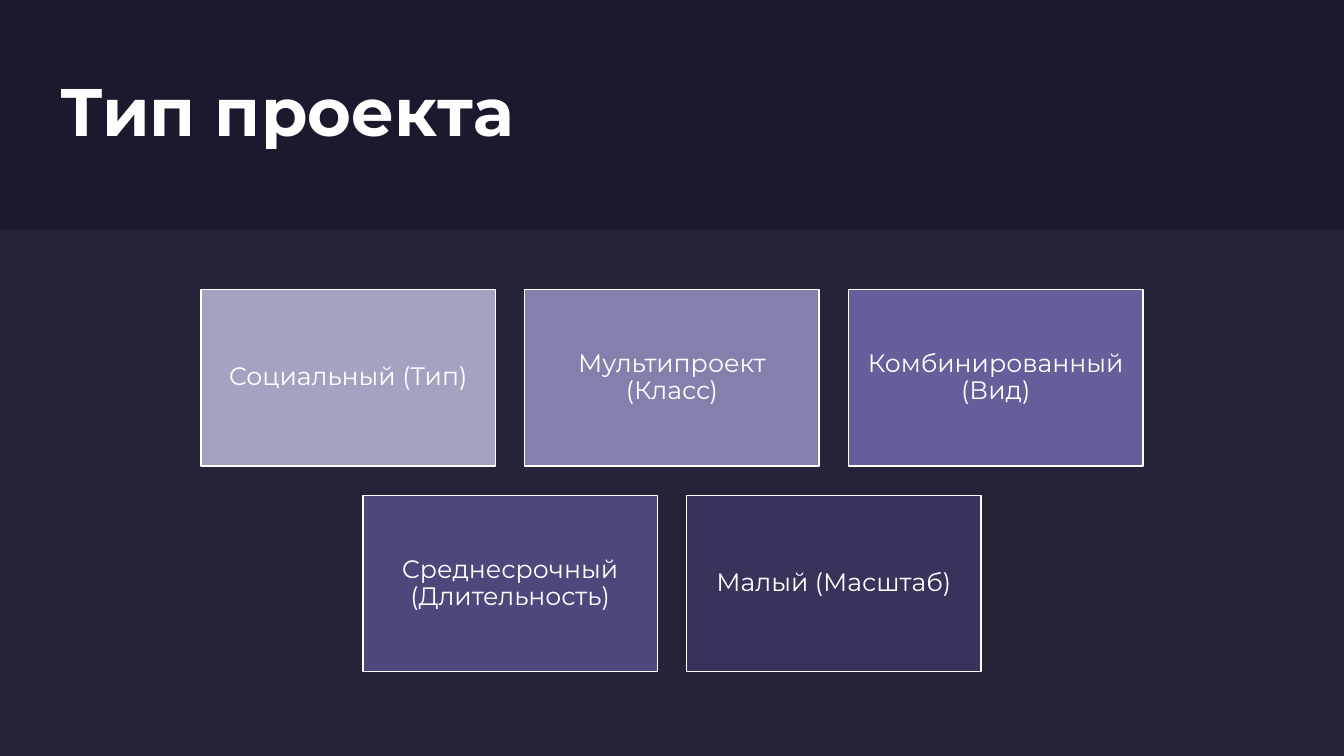
from dataclasses import dataclass

from lxml.etree import SubElement
from pptx import Presentation
from pptx.dml.color import RGBColor
from pptx.dml.fill import FillFormat
from pptx.enum.shapes import MSO_SHAPE
from pptx.enum.text import MSO_ANCHOR, PP_ALIGN
from pptx.oxml.ns import qn
from pptx.shapes.autoshape import Shape
from pptx.slide import Slide
from pptx.text.text import TextFrame
from pptx.util import Cm, Pt

WIDTH, HEIGHT = 33.87, 19.05
CARD_W, CARD_H, GAP = 7.42, 4.45, 0.74
CARD_TOP = 7.29
BAND_TOP = 5.79
DARK, PALE, WHITE = "1B192E", "E4E3F0", "FFFFFF"
FONT = "Montserrat"


@dataclass(frozen=True)
class Card:
    text: str
    color: str


ROWS: list[list[Card]] = [
    [
        Card("Социальный (Тип)", "A3A3C1"),
        Card("Мультипроект (Класс)", "8281AE"),
        Card("Комбинированный (Вид)", "625F9A"),
    ],
    [
        Card("Среднесрочный (Длительность)", "4C487B"),
        Card("Малый (Масштаб)", "37335B"),
    ],
]


def paint(fill: FillFormat, color: str) -> None:
    fill.solid()
    fill.fore_color.rgb = RGBColor.from_string(color)


def add_rect(slide: Slide, left: float, top: float, width: float,
             height: float, color: str) -> Shape:
    rect = slide.shapes.add_shape(
        MSO_SHAPE.RECTANGLE, Cm(left), Cm(top), Cm(width), Cm(height))
    rect.shadow.inherit = False
    paint(rect.fill, color)
    rect.line.fill.background()
    return rect


def fade(shape: Shape, percent: int) -> None:
    color = shape.fill._xPr.find(qn("a:solidFill"))[0]
    SubElement(color, qn("a:alpha")).set("val", str(percent * 1000))


def write(frame: TextFrame, text: str, size: int, inset: float,
          align: PP_ALIGN, bold: bool = False) -> None:
    frame.word_wrap = True
    frame.vertical_anchor = MSO_ANCHOR.MIDDLE
    frame.margin_left = frame.margin_right = Cm(inset)
    frame.margin_top = frame.margin_bottom = Cm(inset)
    line = frame.paragraphs[0]
    line.alignment = align
    line.line_spacing = 0.9
    run = line.add_run()
    run.text = text
    run.font.name = FONT
    run.font.size = Pt(size)
    run.font.bold = bold
    run.font.color.rgb = RGBColor.from_string(WHITE)


def add_card(slide: Slide, card: Card, left: float, top: float) -> None:
    box = add_rect(slide, left, top, CARD_W, CARD_H, card.color)
    paint(box.line.fill, WHITE)
    box.line.width = Pt(1)
    write(box.text_frame, card.text, 18, 0.18, PP_ALIGN.CENTER)


def add_cards(slide: Slide) -> None:
    for i, row in enumerate(ROWS):
        span = len(row) * (CARD_W + GAP) - GAP
        start = (WIDTH - span) / 2
        top = CARD_TOP + i * (CARD_H + GAP)
        for j, card in enumerate(row):
            add_card(slide, card, start + j * (CARD_W + GAP), top)


def main() -> None:
    deck = Presentation()
    deck.slide_width, deck.slide_height = Cm(WIDTH), Cm(HEIGHT)
    slide = deck.slides.add_slide(deck.slide_layouts[6])
    paint(slide.background.fill, DARK)
    add_rect(slide, 0, 0, WIDTH, HEIGHT, DARK)
    title = slide.shapes.add_textbox(Cm(1.52), Cm(1.52), Cm(20.3), Cm(2.74))
    write(title.text_frame, "Тип проекта", 48, 0, PP_ALIGN.LEFT, bold=True)
    band = add_rect(slide, 0, BAND_TOP, WIDTH, HEIGHT - BAND_TOP, PALE)
    fade(band, 5)
    add_cards(slide)
    deck.save("out.pptx")


if __name__ == "__main__":
    main()
